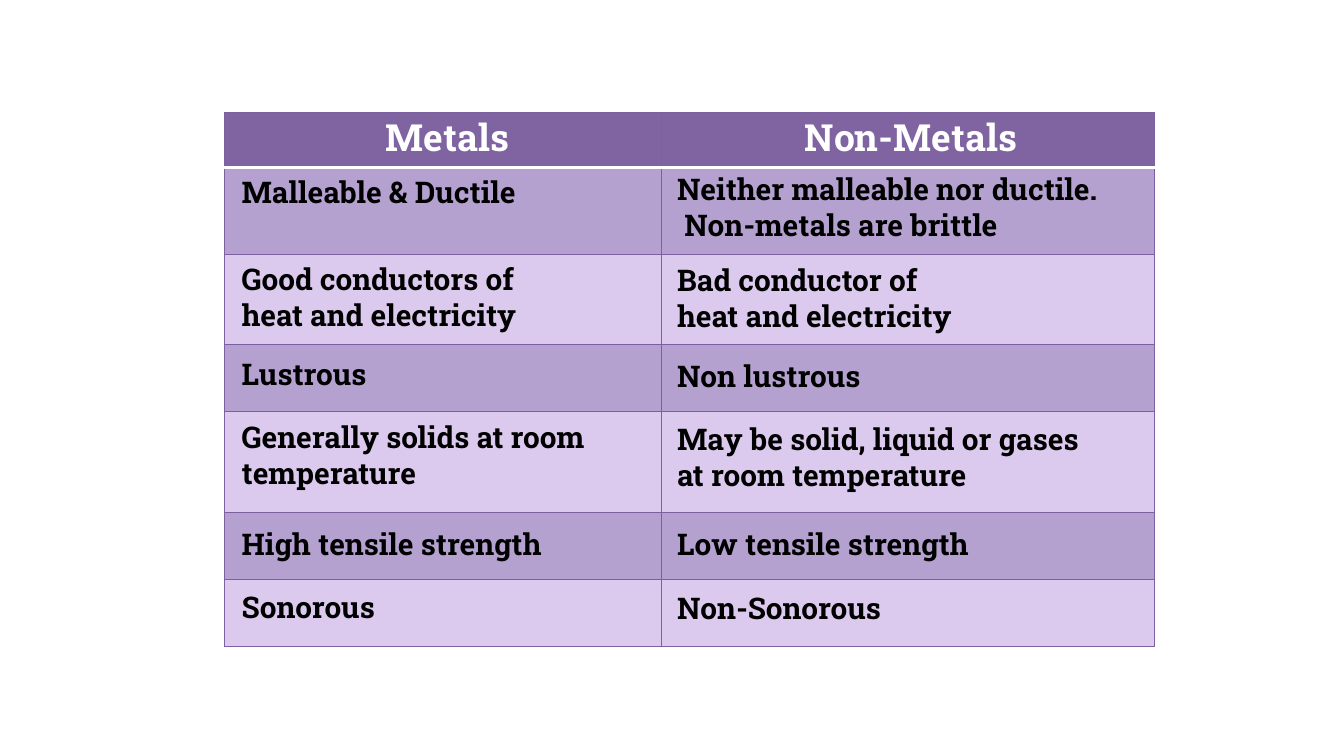
from dataclasses import dataclass

from pptx import Presentation
from pptx import util as u
from pptx.dml.color import RGBColor
from pptx.enum import text
from pptx.oxml import parse_xml
from pptx.oxml.ns import nsdecls


@dataclass(frozen=True)
class Theme:
    font: str = "Roboto Slab"
    head: str = "8064A2"
    dark: str = "B4A1CF"
    light: str = "DBCAED"
    rule: str = "7D60A0"
    white: str = "FFFFFF"
    ink: str = "000000"
    big: float = 20
    body: float = 16
    thin: float = 0.75
    thick: float = 2


class Deck:
    """Hold the theme and the current slide, and draw each kind of element."""

    def __init__(self, theme):
        self.theme = theme
        self.prs = Presentation()
        self.prs.slide_width, self.prs.slide_height = u.Pt(720), u.Pt(405)
        self.slide = self.prs.slides.add_slide(self.prs.slide_layouts[6])

    def edge(self, cell, side, index, color, width):
        line = parse_xml(
            f'<a:ln{side} {nsdecls("a")} w="{u.Pt(width)}"><a:solidFill>'
            f'<a:srgbClr val="{color}"/></a:solidFill></a:ln{side}>')
        cell._tc.get_or_add_tcPr().insert(index, line)

    def table(self, left, top, cols, rows):
        t = self.theme
        box = [u.Pt(v) for v in (left, top, sum(cols), sum(rows))]
        grid = self.slide.shapes.add_table(len(rows), len(cols), *box).table
        for col, width in zip(grid.columns, cols):
            col.width = u.Pt(width)
        for i, (row, height) in enumerate(zip(grid.rows, rows)):
            row.height = u.Pt(height)
            color = t.head if i == 0 else t.dark if i % 2 else t.light
            for cell in row.cells:
                cell.fill.solid()
                cell.fill.fore_color.rgb = RGBColor.from_string(color)
                for index, side in enumerate("LRTB"):
                    split = (i, side) in ((0, "B"), (1, "T"))
                    style = (t.white, t.thick) if split else (t.rule, t.thin)
                    self.edge(cell, side, index, *style)

    def label(self, words, left, top, width, size, color):
        lines = words.split("\n")
        height = 7.2 + len(lines) * size * 1.22
        box = [u.Pt(v) for v in (left, top, width, height)]
        frame = self.slide.shapes.add_textbox(*box).text_frame
        look = {"word_wrap": False,
                "auto_size": text.MSO_AUTO_SIZE.SHAPE_TO_FIT_TEXT}
        for key, value in look.items():
            setattr(frame, key, value)
        frame.text = words
        form = {"name": self.theme.font, "size": u.Pt(size), "bold": True}
        for para in frame.paragraphs:
            for run in para.runs:
                for key, value in form.items():
                    setattr(run.font, key, value)
                run.font.color.rgb = RGBColor.from_string(color)

    def save(self):
        self.prs.save("out.pptx")


HEADS = [("Metals", 199.4, 83.5), ("Non-Metals", 424.1, 131.8)]
METALS = [
    ("Malleable & Ductile", 89.3, 178.6),
    ("Good conductors of\nheat and electricity", 136.1, 223.9),
    ("Lustrous", 187.2, 87.8),
    ("Generally solids at room\ntemperature", 221, 226.1),
    ("High tensile strength", 277.9, 193.7),
    ("Sonorous", 311.8, 92.9),
]
OTHERS = [
    ("Neither malleable nor ductile.\n Non-metals are brittle", 87.8, 265.7),
    ("Bad conductor of\nheat and electricity", 136.8, 191.5),
    ("Non lustrous", 187.9, 121.7),
    ("May be solid, liquid or gases\nat room temperature", 221.8, 257.8),
    ("Low tensile strength", 277.9, 187.2),
    ("Non-Sonorous", 312.5, 130.3),
]


def main():
    t = Theme()
    deck = Deck(t)
    deck.table(120.2, 60.4, [234, 264.2], [29.2, 46.6, 48.2, 36, 54, 36, 36])
    for words, left, width in HEADS:
        deck.label(words, left, 57.6, width, t.big, t.white)
    for left, items in ((122.4, METALS), (355.7, OTHERS)):
        for words, top, width in items:
            deck.label(words, left, top, width, t.body, t.ink)
    deck.save()


if __name__ == "__main__":
    main()
